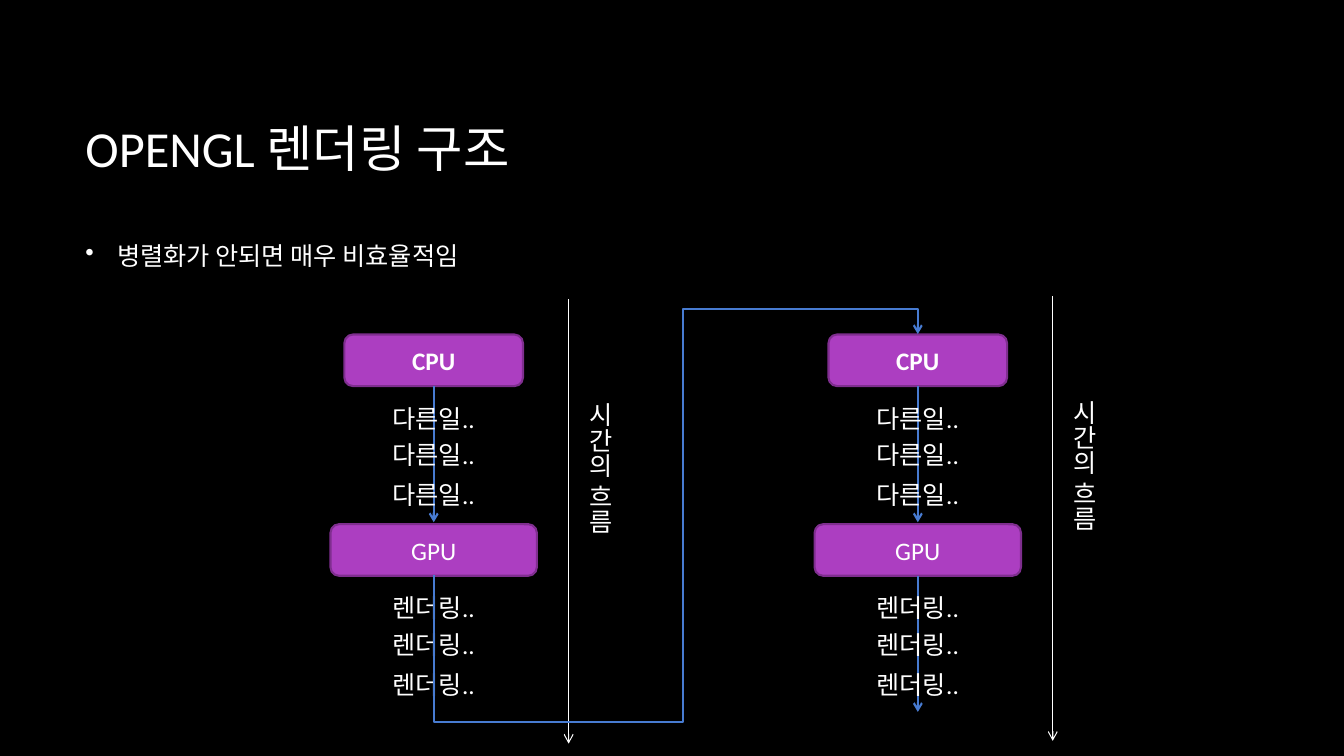
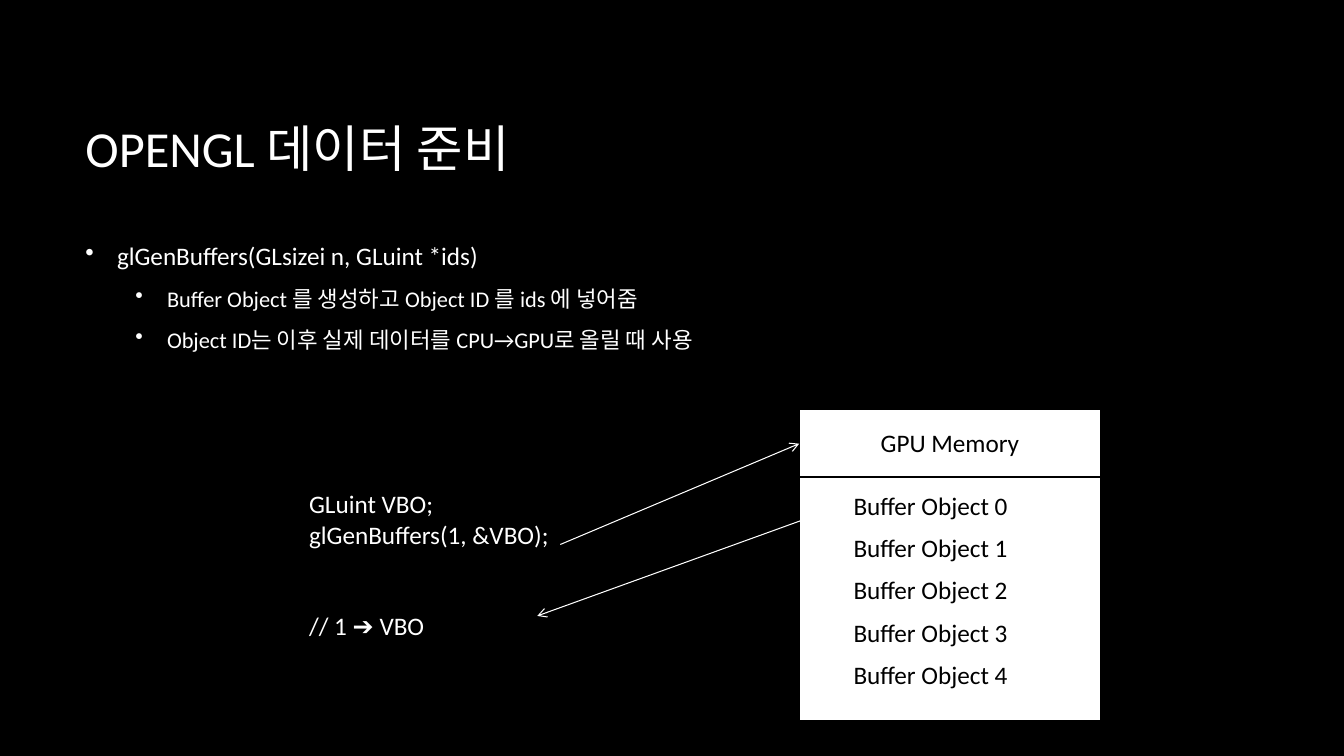
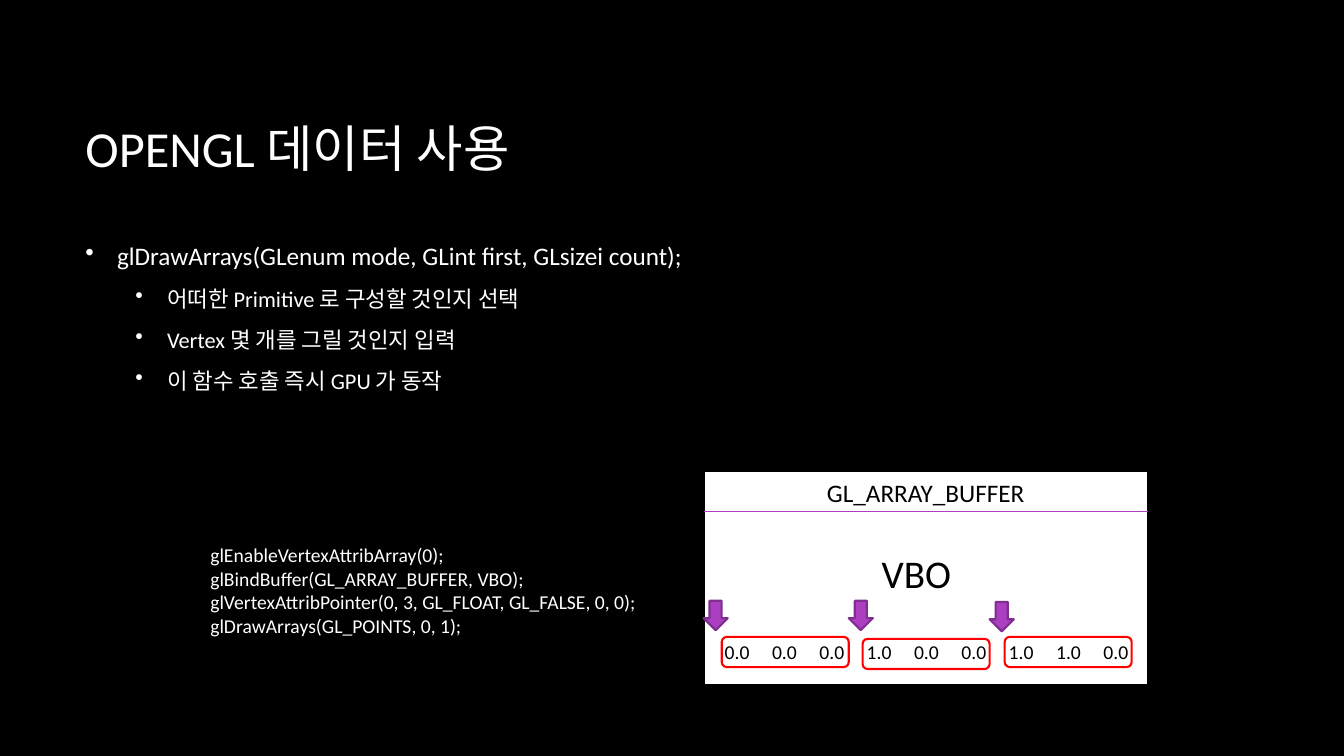
import pptx
import pptx.dml.color
import pptx.enum.shapes
import pptx.enum.text
import pptx.oxml
import pptx.oxml.ns
import pptx.util
import lxml.etree

Cm = pptx.util.Cm
Pt = pptx.util.Pt
SHAPE = pptx.enum.shapes.MSO_SHAPE
CONNECTOR = pptx.enum.shapes.MSO_CONNECTOR
ALIGN = pptx.enum.text.PP_ALIGN
ANCHOR = pptx.enum.text.MSO_ANCHOR
qn = pptx.oxml.ns.qn

FONT = "Calibri"
HEX = {"black": "000000", "white": "FFFFFF", "purple": "AC3EC1",
       "plum": "7F2E8F", "blue": "477BD1", "red": "FF0000"}
COLOR = {name: pptx.dml.color.RGBColor.from_string(value) for name, value in HEX.items()}


def add_box(page, area, lines=(), kind=None, fill=None, outline=None,
            size=18, color="white", align=ALIGN.LEFT):
    """Add a text box, or a preset shape if kind is given; area is in centimetres."""
    area = [Cm(length) for length in area]
    if kind is None:
        box = page.shapes.add_textbox(*area)
    else:
        box = page.shapes.add_shape(kind, *area)
        box.shadow.inherit = False
        if fill:
            box.fill.solid()
            box.fill.fore_color.rgb = COLOR[fill]
        else:
            box.fill.background()
        box.line.color.rgb = COLOR[outline]
        box.line.width = Pt(1.5)
    frame = box.text_frame
    frame.word_wrap = True
    frame.vertical_anchor = ANCHOR.TOP if kind is None else ANCHOR.MIDDLE
    for number, line in enumerate(lines):
        para = frame.add_paragraph() if number else frame.paragraphs[0]
        para.text = line
        para.alignment = align
        para.font.name = FONT
        para.font.size = Pt(size)
        para.font.color.rgb = COLOR[color]
    return box


def add_line(page, points, color="white", width=0.75, arrow=True, kind=CONNECTOR.STRAIGHT):
    """Add a connector; points are start x, y and end x, y in centimetres."""
    line = page.shapes.add_connector(kind, *[Cm(length) for length in points])
    line.line.color.rgb = COLOR[color]
    line.line.width = Pt(width)
    properties = line._element.spPr
    if arrow:
        lxml.etree.SubElement(properties.find(qn("a:ln")), qn("a:tailEnd"), type="arrow")
    lxml.etree.SubElement(properties, qn("a:effectLst"))
    return line


deck = pptx.Presentation()
deck.slide_width = Cm(33.87)
deck.slide_height = Cm(19.05)
background = deck.slide_master.background.fill
background.solid()
background.fore_color.rgb = COLOR["black"]

# Titles and bullets: the first bullet is the main one, the others are indented
CONTENT = [
    ("OPENGL 렌더링 구조", ["병렬화가 안되면 매우 비효율적임"]),
    ("OPENGL 데이터 준비", [
        "glGenBuffers(GLsizei n, GLuint *ids)",
        "Buffer Object 를 생성하고 Object ID 를 ids 에 넣어줌",
        "Object ID는 이후 실제 데이터를 CPU→GPU로 올릴 때 사용"]),
    ("OPENGL 데이터 사용", [
        "glDrawArrays(GLenum mode, GLint first, GLsizei count);",
        "어떠한 Primitive 로 구성할 것인지 선택",
        "Vertex 몇 개를 그릴 것인지 입력",
        "이 함수 호출 즉시 GPU 가 동작"]),
]
pages = []
for heading, bullets in CONTENT:
    page = deck.slides.add_slide(deck.slide_layouts[5])
    pages.append(page)
    title = page.shapes.title
    title.left, title.top, title.width, title.height = Cm(1.9), Cm(1.7), Cm(28.14), Cm(4.04)
    title.text_frame.text = heading
    title.text_frame.vertical_anchor = ANCHOR.MIDDLE
    para = title.text_frame.paragraphs[0]
    para.alignment = ALIGN.LEFT
    para.font.name = FONT
    para.font.size = Pt(36)
    para.font.color.rgb = COLOR["white"]

    body = add_box(page, (1.9, 5.94, 28.14, 10.13), bullets)
    for number, para in enumerate(body.text_frame.paragraphs):
        para.space_after = Pt(10)
        if number:
            para.level = 1
            para.font.size = Pt(16)
        props = para._p.get_or_add_pPr()
        props.set("marL", str(Cm(2.06 if number else 0.8)))
        props.set("indent", str(Cm(-0.8)))
        bullet_color = lxml.etree.Element(qn("a:buClr"))
        lxml.etree.SubElement(bullet_color, qn("a:srgbClr"), val=HEX["white"])
        bullet = lxml.etree.Element(qn("a:buChar"), char="•")
        font_defaults = props.find(qn("a:defRPr"))
        font_defaults.addprevious(bullet_color)
        font_defaults.addprevious(bullet)

rendering, preparing, drawing = pages

# Rendering structure: two passes of CPU work followed by GPU work
BOX_HEIGHT = 1.3
STAGES = [("CPU", 8.43, 4.5, "다른일.."), ("GPU", 13.21, 5.2, "렌더링..")]
for center, axis_top in ((10.93, 7.54), (23.13, 7.47)):
    for name, top, width, task in STAGES:
        stage = add_box(rendering, (center - width / 2, top, width, BOX_HEIGHT), [name],
                        SHAPE.ROUNDED_RECTANGLE, "purple", "plum", align=ALIGN.CENTER)
        stage.text_frame.paragraphs[0].font.bold = name == "CPU"
        bottom = top + BOX_HEIGHT
        if (name, center) != ("GPU", 10.93):
            add_line(rendering, (center, bottom, center, bottom + 3.43), "blue", 1.5)
        for drop in (1.6, 2.52, 3.53):
            add_box(rendering, (center - 1.4, top + drop, 2.8, 1.02), [task], align=ALIGN.CENTER)
    axis = center + 3.4
    add_line(rendering, (axis, axis_top, axis, axis_top + 11.2))
    caption = add_box(rendering, (axis + 0.03, axis_top + 2.36, 1.28, 6), ["시간의 흐름"])
    caption.text_frame._txBody.bodyPr.set("vert", "eaVert")

# The return path is a five-part elbow, turned a quarter so that it leaves downwards
loop = add_line(rendering, (20.07, 17.56, 13.99, 5.36), "blue", 1.5, kind=CONNECTOR.ELBOW)
loop._element.spPr.find(qn("a:xfrm")).set("rot", "5400000")
geometry = loop._element.spPr.find(qn("a:prstGeom"))
geometry.set("prst", "bentConnector5")
guides = geometry.find(qn("a:avLst"))
for number, share in enumerate((-60600, 51500, 110500), 1):
    lxml.etree.SubElement(guides, qn("a:gd"), name=f"adj{number}", fmla=f"val {share}")

# Preparing data: generated buffer objects in GPU memory
code = add_box(preparing, (7.54, 12.19, 8.41, 4.11),
               ["GLuint VBO;", "glGenBuffers(1, &VBO);", "// 1 ➔ VBO"])
code.text_frame.paragraphs[2].space_before = Pt(44)
add_box(preparing, (20.14, 10.31, 7.6, 7.85), [], SHAPE.FLOWCHART_PROCESS, "white", "black")
add_box(preparing, (20.14, 10.31, 7.6, 1.7), ["GPU Memory"], SHAPE.FLOWCHART_PROCESS,
        "white", "black", color="black", align=ALIGN.CENTER)
add_line(preparing, (14.12, 13.72, 20.14, 11.18))
add_line(preparing, (21.26, 12.73, 13.54, 15.52))
for number in range(5):
    add_box(preparing, (21.26, 12.24 + 1.06 * number, 4.8, 1.02),
            [f"Buffer Object {number}"], color="black")

# Using data: one vertex is three values of the buffer
add_box(drawing, (5.05, 13.56, 12.45, 2.64), [
    "glEnableVertexAttribArray(0);",
    "glBindBuffer(GL_ARRAY_BUFFER, VBO);",
    "glVertexAttribPointer(0, 3, GL_FLOAT, GL_FALSE, 0, 0);",
    "glDrawArrays(GL_POINTS, 0, 1);"], size=14)
add_box(drawing, (17.73, 11.86, 11.2, 5.41), [], SHAPE.FLOWCHART_PROCESS, "white", "black")
add_box(drawing, (17.73, 11.91, 11.2, 1.02), ["GL_ARRAY_BUFFER"],
        color="black", align=ALIGN.CENTER)
add_box(drawing, (21.97, 13.72, 2.82, 1.45), ["VBO"], size=28, color="black")
add_line(drawing, (17.73, 12.88, 28.93, 12.88), "purple", arrow=False)

VALUES = ["0.0", "0.0", "0.0", "1.0", "0.0", "0.0", "1.0", "1.0", "0.0"]
table = drawing.shapes.add_table(1, len(VALUES), Cm(17.98), Cm(15.93), Cm(10.74), Cm(1.04)).table
table.first_row = False
table.horz_banding = False
for cell, value in zip(table.rows[0].cells, VALUES):
    cell.fill.background()
    cell.vertical_anchor = ANCHOR.MIDDLE
    cell.text = value
    para = cell.text_frame.paragraphs[0]
    para.alignment = ALIGN.CENTER
    para.font.name = FONT
    para.font.size = Pt(14)
    para.font.color.rgb = COLOR["black"]

VERTICES = [(17.73, 15.14, 18.19, 16.05), (21.39, 15.14, 21.74, 16.1), (24.94, 15.17, 25.32, 16.05)]
for arrow_left, arrow_top, frame_left, frame_top in VERTICES:
    add_box(drawing, (arrow_left, arrow_top, 0.61, 0.74), [], SHAPE.DOWN_ARROW, "purple", "plum")
    add_box(drawing, (frame_left, frame_top, 3.2, 0.76), [], SHAPE.ROUNDED_RECTANGLE, None, "red")

deck.save("out.pptx")
